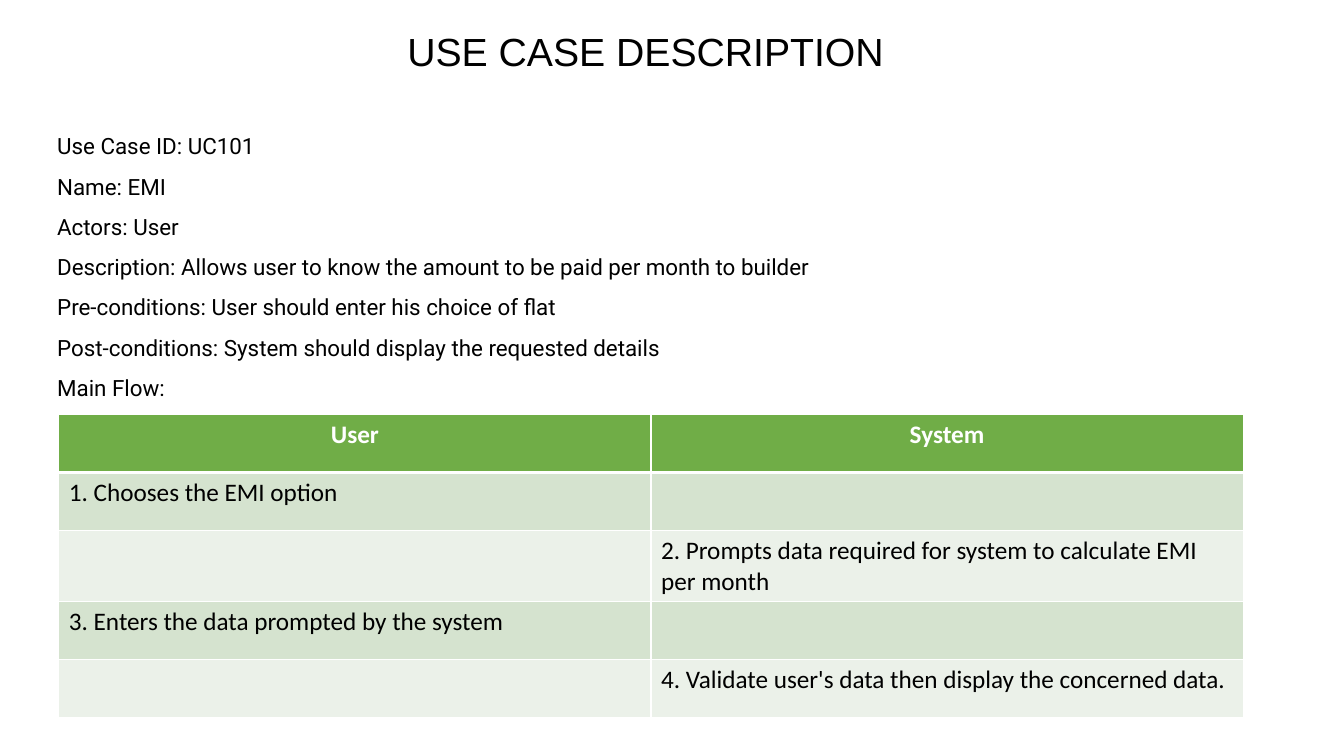
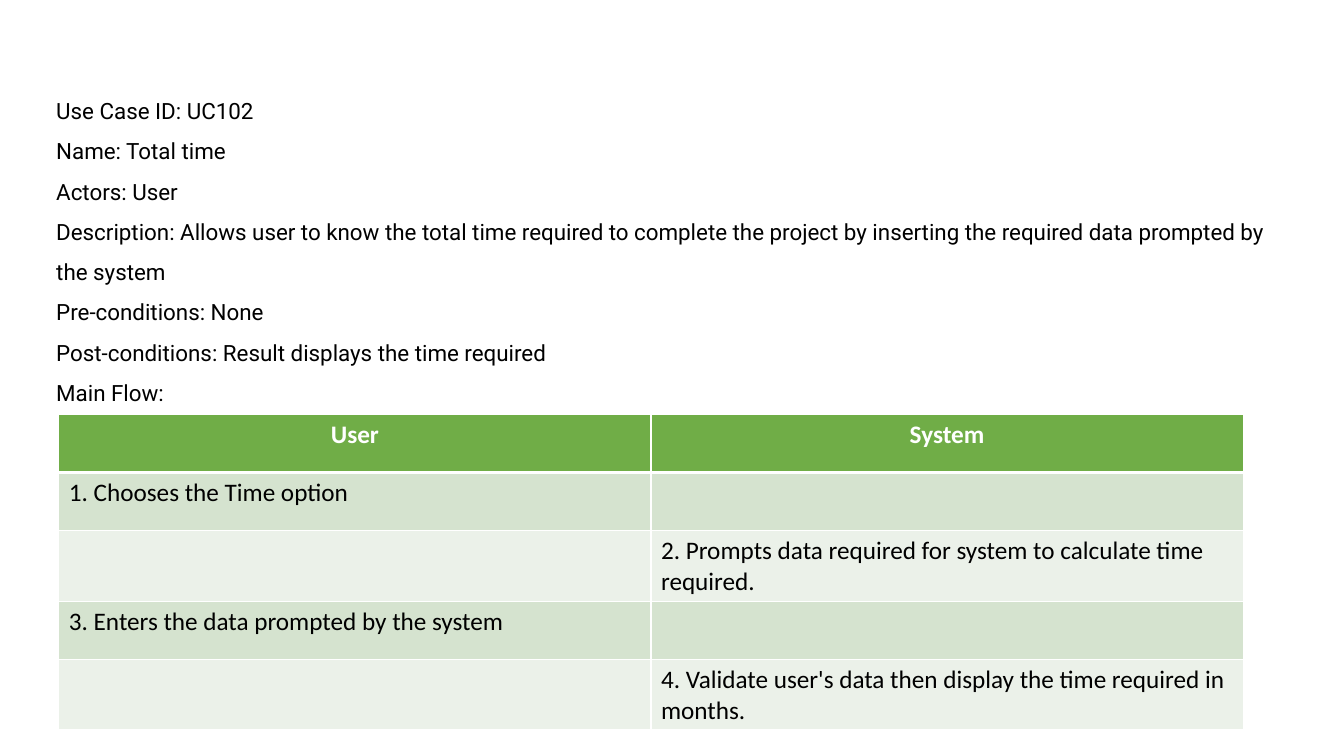
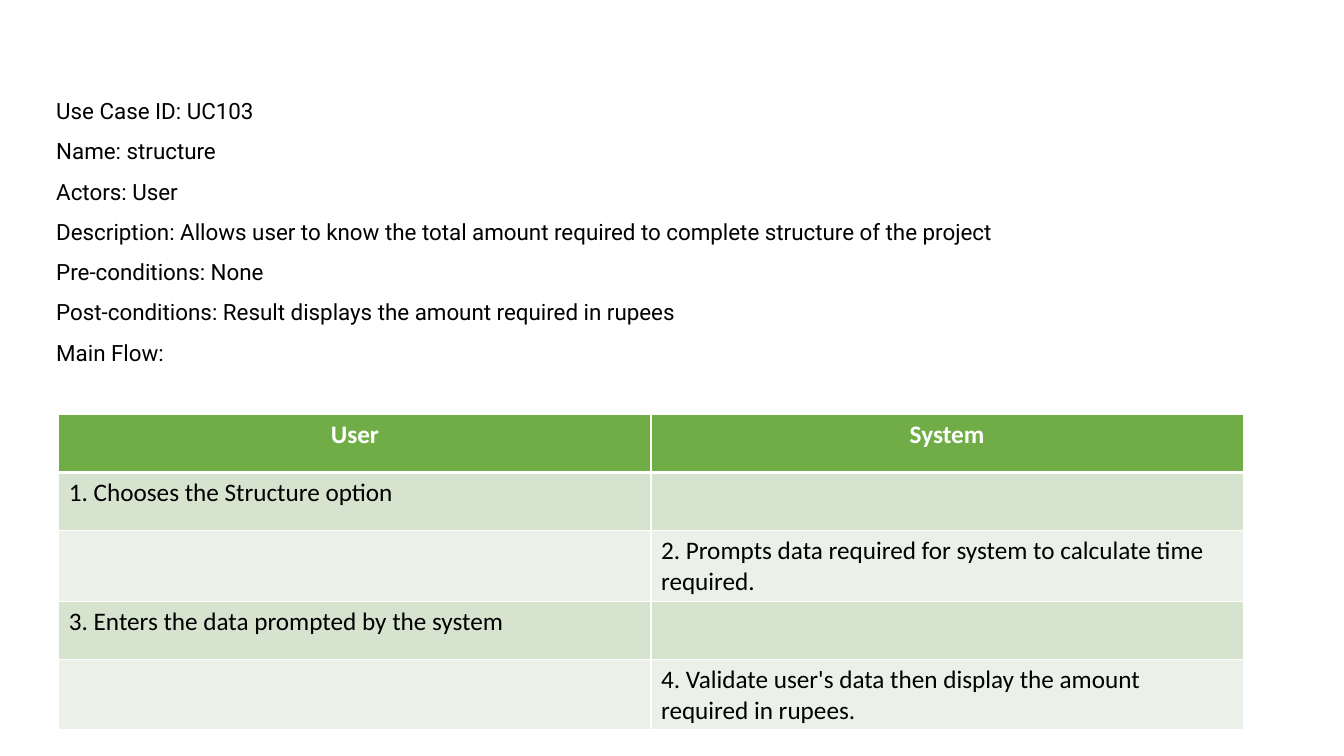
"""Build three use case description slides, each with details and a main flow table."""
import pptx
import pptx.dml.color
import pptx.enum.text
import pptx.oxml.ns
import pptx.util
from lxml import etree

Pt = pptx.util.Pt
qn = pptx.oxml.ns.qn
ALIGN = pptx.enum.text.PP_ALIGN

BLACK, WHITE, GREEN = "000000", "FFFFFF", "70AD47"
BANDS = ["D5E3CF", "EBF1E9"]
LEFT, TABLE_TOP, COL_WIDTH, ROW_HEIGHT = 42, 296, 423, 41.5


def color(value):
    return pptx.dml.color.RGBColor.from_string(value)


def write(tf, text, font="Calibri", size=18, fill=BLACK, bold=False,
          align=ALIGN.LEFT, spacing=None):
    for i, line in enumerate(text.split("\n")):
        p = tf.paragraphs[0] if i == 0 else tf.add_paragraph()
        p.alignment = align
        p.line_spacing = spacing
        r = p.add_run()
        r.text = line
        r.font.name = font
        r.font.size = Pt(size)
        r.font.bold = bold
        r.font.color.rgb = color(fill)


use_cases = [
    {
        "title": "USE CASE DESCRIPTION",
        "at": (33.8, 81.4, 207.4),
        "details": [
            "UC101", "EMI", "User",
            "Allows user to know the amount to be paid per month to builder",
            "User should enter his choice of flat",
            "System should display the requested details",
        ],
        "steps": [
            "Chooses the EMI option",
            "Prompts data required for system to calculate EMI per month",
            "Enters the data prompted by the system",
            "Validate user's data then display the concerned data.",
        ],
    },
    {
        "at": (33.1, 56.2, 236.9),
        "details": [
            "UC102", "Total time", "User",
            "Allows user to know the total time required to complete the project "
            "by inserting the required data prompted by the system",
            "None",
            "Result displays the time required",
        ],
        "steps": [
            "Chooses the Time option",
            "Prompts data required for system to calculate time required.",
            "Enters the data prompted by the system",
            "Validate user's data then display the time required in months.",
        ],
    },
    {
        "at": (33.1, 56.2, 236.9),
        "details": [
            "UC103", "structure", "User",
            "Allows user to know the total amount required to complete structure "
            "of the project",
            "None",
            "Result displays the amount required in rupees",
        ],
        "steps": [
            "Chooses the Structure option",
            "Prompts data required for system to calculate time required.",
            "Enters the data prompted by the system",
            "Validate user's data then display the amount required in rupees.",
        ],
    },
]
labels = ["Use Case ID", "Name", "Actors", "Description",
          "Pre-conditions", "Post-conditions"]

prs = pptx.Presentation()
prs.slide_width, prs.slide_height = Pt(960), Pt(540)

for case in use_cases:
    s = prs.slides.add_slide(prs.slide_layouts[6])

    left, top, height = case["at"]
    details = [f"{label}: {value}" for label, value in zip(labels, case["details"])]
    boxes = [((left, top, 892.8, height), "\n".join(details + ["Main Flow:"]),
              {"font": "Roboto", "size": 16, "spacing": 1.5})]
    if "title" in case:
        boxes.insert(0, ((33.8, 15.8, 854.6, 41), case["title"],
                         {"font": "Arial", "size": 28, "align": ALIGN.CENTER}))
    for area, text, style in boxes:
        sp = s.shapes.add_textbox(*[Pt(v) for v in area])
        tf = sp.text_frame
        tf.word_wrap = True
        tf.auto_size = pptx.enum.text.MSO_AUTO_SIZE.SHAPE_TO_FIT_TEXT
        write(tf, text, **style)

    rows = [["User", "System"]]
    for i, step in enumerate(case["steps"]):
        step = f"{i + 1}. {step}"
        rows.append([step, ""] if i % 2 == 0 else ["", step])

    table = s.shapes.add_table(len(rows), 2, Pt(LEFT), Pt(TABLE_TOP),
                               Pt(2 * COL_WIDTH), Pt(len(rows) * ROW_HEIGHT)).table
    table.horz_banding = False
    for column in table.columns:
        column.width = Pt(COL_WIDTH)
    for i, row in enumerate(rows):
        table.rows[i].height = Pt(ROW_HEIGHT)
        header = i == 0
        for j, text in enumerate(row):
            cell = table.cell(i, j)
            tcPr = cell._tc.get_or_add_tcPr()
            for side in "LRTB":
                thick = (i, side) in [(0, "B"), (1, "T")]
                ln = etree.SubElement(tcPr, qn(f"a:ln{side}"),
                                      w=str(Pt(3 if thick else 1)))
                solid = etree.SubElement(ln, qn("a:solidFill"))
                etree.SubElement(solid, qn("a:srgbClr"), val=WHITE)
            cell.fill.solid()
            cell.fill.fore_color.rgb = color(GREEN if header else BANDS[(i - 1) % 2])
            if text:
                write(cell.text_frame, text, bold=header,
                      fill=WHITE if header else BLACK,
                      align=ALIGN.CENTER if header else ALIGN.LEFT)

prs.save("out.pptx")
